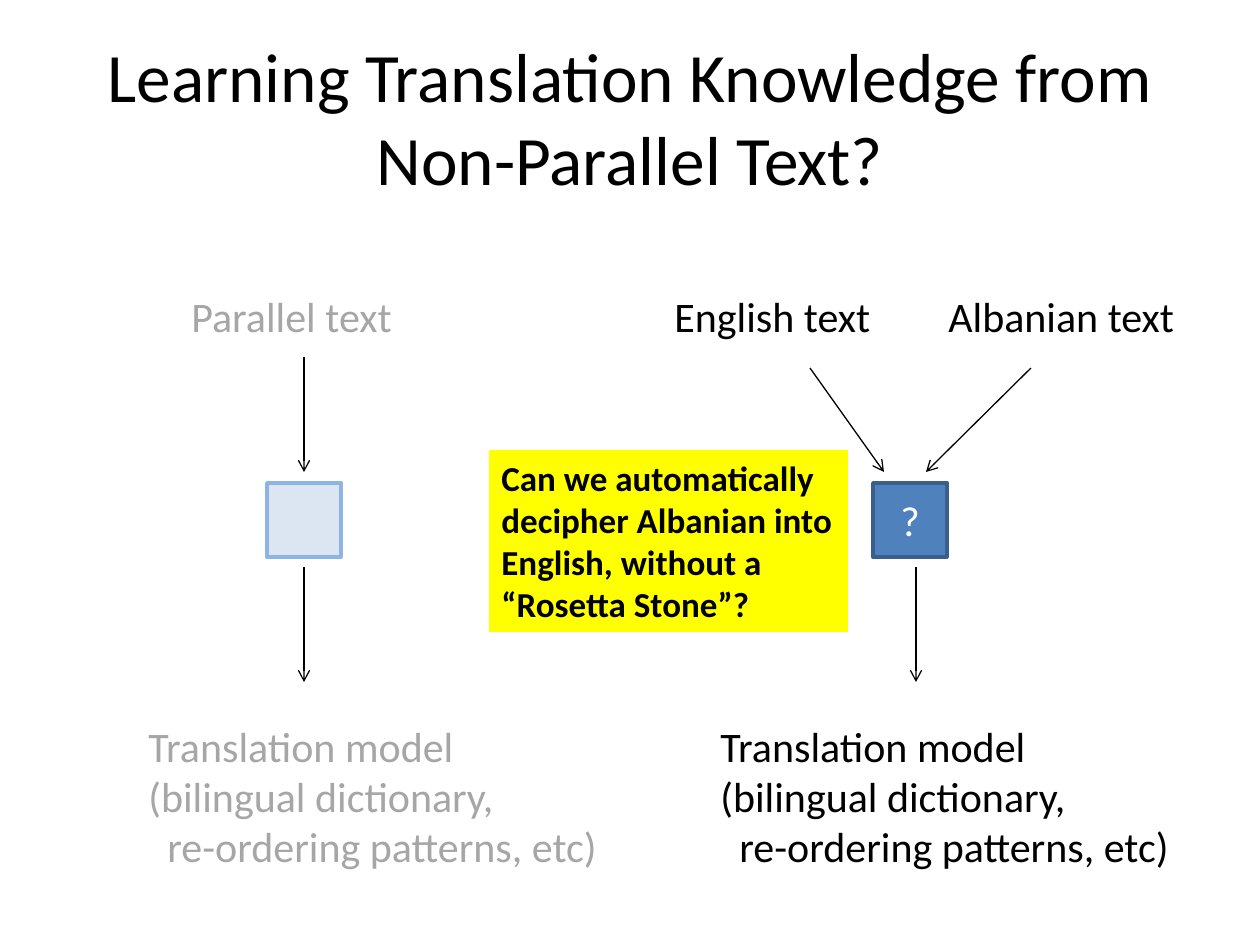
"""Build a slide comparing learning from parallel and non-parallel text."""
from lxml.etree import SubElement
from pptx import Presentation
from pptx.dml.color import RGBColor
from pptx.enum.shapes import MSO_CONNECTOR as Connector, MSO_SHAPE as Shape
from pptx.enum.text import MSO_ANCHOR as Anchor, PP_ALIGN as Align
from pptx.oxml.ns import qn
from pptx.util import Emu, Pt

PX_PER_INCH = 126
FONT = "Calibri"
COLORS = {
    "black": "000000",
    "white": "FFFFFF",
    "faded": "A6A6A6",
    "pale_fill": "DCE6F2",
    "pale_line": "8EB4E3",
    "blue_fill": "4F81BD",
    "blue_line": "3A5F8C",
    "highlight": "FFFF00",
}
BOX_TOP, BOX_SIZE = 483, 74
MODEL_LINES = ["Translation model", "(bilingual dictionary,", "re-ordering patterns, etc)"]


def px(value):
    """Turn pixels into EMU."""
    return Emu(round(value * 914400 / PX_PER_INCH))


def color(name):
    """Look up a named colour."""
    return RGBColor.from_string(COLORS[name])


def write_text(shape, lines, size=24, ink="black", bold=False, align=Align.LEFT,
               anchor=Anchor.TOP, wrap=False, last_indent=0):
    """Fill a shape with one formatted paragraph per line."""
    frame = shape.text_frame
    frame.word_wrap = wrap
    frame.vertical_anchor = anchor
    for index, line in enumerate(lines):
        paragraph = frame.add_paragraph() if index else frame.paragraphs[0]
        paragraph.text = line
        paragraph.alignment = align
        font = paragraph.font
        font.name, font.size, font.bold = FONT, Pt(size), bold
        font.color.rgb = color(ink)
    if last_indent:
        paragraph._p.get_or_add_pPr().set("marL", str(px(last_indent)))


def add_text(slide, left, top, width, height, lines, **text_format):
    """Add a text box."""
    box = slide.shapes.add_textbox(px(left), px(top), px(width), px(height))
    write_text(box, lines, **text_format)


def add_box(slide, left, top, width, height, fill, line=None):
    """Add a flat rectangle and return it."""
    box = slide.shapes.add_shape(Shape.RECTANGLE, px(left), px(top), px(width), px(height))
    box.shadow.inherit = False
    box.fill.solid()
    box.fill.fore_color.rgb = color(fill)
    if line:
        box.line.color.rgb = color(line)
        box.line.width = Pt(2)
    else:
        box.line.fill.background()
    return box


def add_arrow(slide, start_x, start_y, end_x, end_y):
    """Add a thin line with an open arrowhead at its end."""
    arrow = slide.shapes.add_connector(
        Connector.STRAIGHT, px(start_x), px(start_y), px(end_x), px(end_y))
    arrow.line.color.rgb = color("black")
    arrow.line.width = Pt(0.75)
    SubElement(arrow.line._get_or_add_ln(), qn("a:tailEnd"), type="arrow")
    SubElement(arrow._element.spPr, qn("a:effectLst"))


def main():
    """Build and save the slide."""
    presentation = Presentation()
    presentation.slide_width, presentation.slide_height = px(1260), px(945)
    slide = presentation.slides.add_slide(presentation.slide_layouts[6])

    add_text(slide, 63, 38, 1134, 157,
             ["Learning Translation Knowledge from\vNon-Parallel Text?"],
             size=39.6, align=Align.CENTER, anchor=Anchor.MIDDLE, wrap=True)

    for left, width, label, ink in [(179, 228, "Parallel text", "faded"),
                                    (662, 223, "English text", "black"),
                                    (936, 253, "Albanian text", "black")]:
        add_text(slide, left, 284, width, 63, [label], ink=ink)

    for left, ink in [(136, "faded"), (708, "black")]:
        add_text(slide, left, 714, 479, 165, MODEL_LINES, ink=ink, last_indent=19)

    for points in [(304, 357, 304, 472), (304, 567, 304, 682), (810, 368, 884, 472),
                   (1031, 368, 926, 472), (916, 567, 916, 682)]:
        add_arrow(slide, *points)

    add_box(slide, 267, BOX_TOP, BOX_SIZE, BOX_SIZE, "pale_fill", "pale_line")
    unknown = add_box(slide, 873, BOX_TOP, BOX_SIZE, BOX_SIZE, "blue_fill", "blue_line")
    write_text(unknown, ["?"], ink="white", align=Align.CENTER, anchor=Anchor.MIDDLE, wrap=True)

    question = add_box(slide, 489, 450, 359, 182, "highlight")
    write_text(question, ["Can we automatically", "decipher Albanian into",
                          "English, without a", "“Rosetta Stone”?"], size=20, bold=True)

    presentation.save("out.pptx")


if __name__ == "__main__":
    main()
